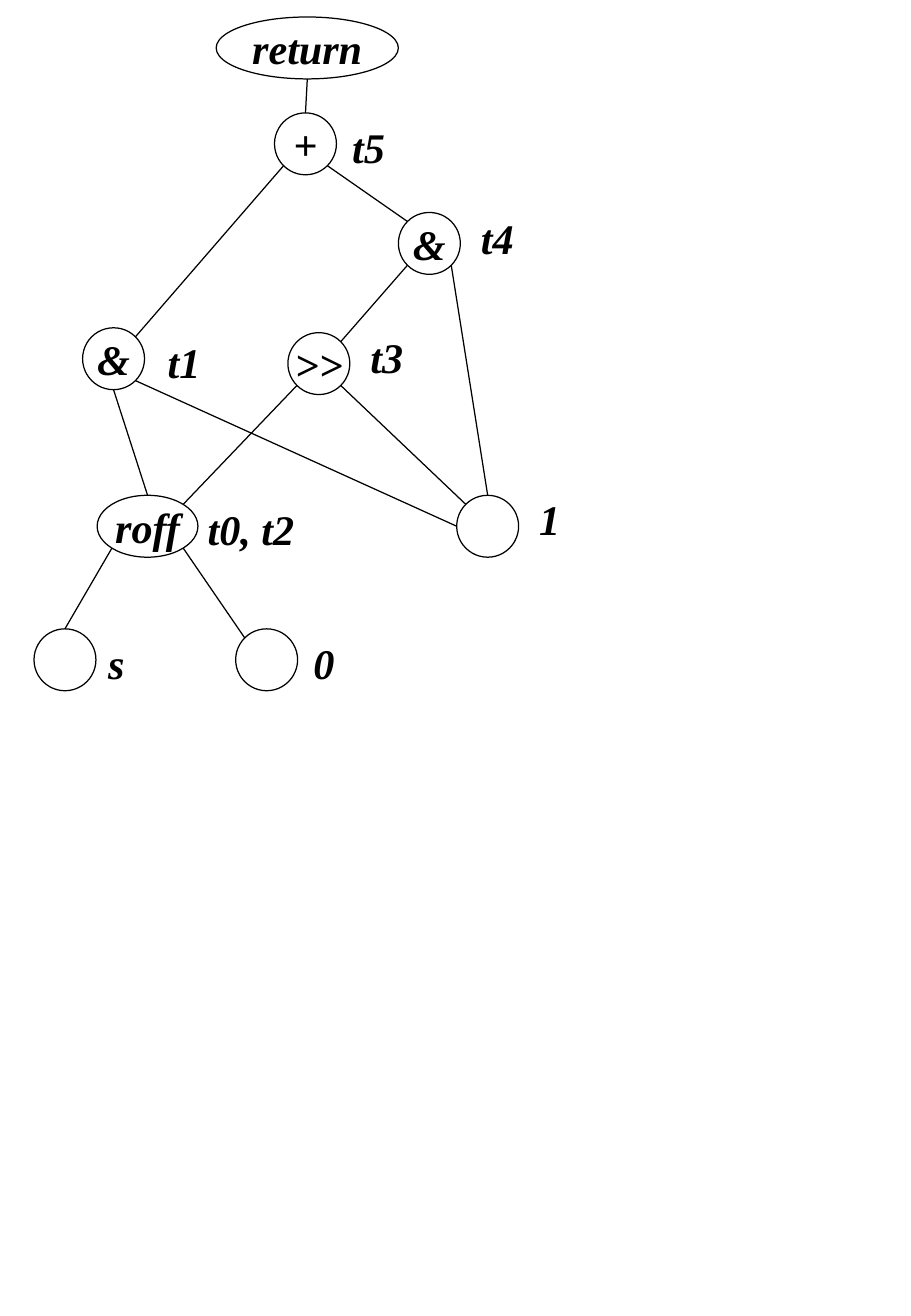
from math import sqrt

from lxml.etree import SubElement
from pptx import Presentation
from pptx.dml.color import RGBColor
from pptx.enum.shapes import MSO_CONNECTOR as Connector, MSO_SHAPE as Shape
from pptx.enum.text import MSO_ANCHOR as Anchor, PP_ALIGN as Align
from pptx.oxml.ns import qn
from pptx.util import Inches, Pt

INK = "000000"
FONT = "Times New Roman"
NODE_SIZE = 0.51
LABEL_WIDTH, LABEL_HEIGHT = 1.06, 0.47
DIAGONAL = 1 / sqrt(2)

SITES = {
    "top": (0, -1),
    "bottom": (0, 1),
    "left": (-1, 0),
    "top left": (-DIAGONAL, -DIAGONAL),
    "top right": (DIAGONAL, -DIAGONAL),
    "bottom left": (-DIAGONAL, DIAGONAL),
    "bottom right": (DIAGONAL, DIAGONAL),
}

NODES = {
    "return": ("return", 1.78, 0.14, 1.5),
    "sum": ("+", 2.26, 0.93, NODE_SIZE),
    "left and": ("&", 0.68, 2.7, NODE_SIZE),
    "right and": ("&", 3.28, 1.75, NODE_SIZE),
    "shift": (">>", 2.37, 2.74, NODE_SIZE),
    "roff": ("roff", 0.8, 4.08, 0.83),
    "one": ("", 3.76, 4.08, NODE_SIZE),
    "s": ("", 0.28, 5.18, NODE_SIZE),
    "zero": ("", 1.94, 5.18, NODE_SIZE),
}

LABELS = [
    ("t5", 2.77, 0.97),
    ("t4", 3.83, 1.72),
    ("t1", 1.25, 2.74),
    ("t3", 2.92, 2.7),
    ("t0, t2", 1.58, 4.12),
    ("1", 4.31, 4.04),
    ("s", 0.76, 5.22),
    ("0", 2.45, 5.22),
]

EDGES = [
    ("return", "bottom", "sum", "top"),
    ("sum", "bottom left", "left and", "top right"),
    ("sum", "bottom right", "right and", "top left"),
    ("right and", "bottom left", "shift", "top right"),
    ("right and", "bottom right", "one", "top"),
    ("left and", "bottom", "roff", "top"),
    ("left and", "bottom right", "one", "left"),
    ("shift", "bottom left", "roff", "top right"),
    ("shift", "bottom right", "one", "top left"),
    ("roff", "bottom left", "s", "top"),
    ("roff", "bottom right", "zero", "top left"),
]


def color(value):
    return RGBColor.from_string(value)


def write(box, text, align=Align.LEFT, wrap=True, margin=0.1, size=25):
    frame = box.text_frame
    frame.word_wrap = wrap
    frame.vertical_anchor = Anchor.MIDDLE
    frame.margin_left = frame.margin_right = Inches(margin)
    para = frame.paragraphs[0]
    para.alignment = align
    span = para.add_run()
    span.text = text
    span.font.name = FONT
    span.font.size = Pt(size)
    span.font.bold = span.font.italic = True
    span.font.color.rgb = color(INK)


def outline(line):
    line.color.rgb = color(INK)
    line.width = Pt(0.75)


def add_node(page, text, left, top, width):
    node = page.shapes.add_shape(
        Shape.OVAL, Inches(left), Inches(top), Inches(width), Inches(NODE_SIZE)
    )
    node.shadow.inherit = False
    node.fill.background()
    outline(node.line)
    if text:
        write(node, text, align=Align.CENTER, wrap=False)


def add_label(page, text, left, top):
    box = page.shapes.add_textbox(
        Inches(left), Inches(top), Inches(LABEL_WIDTH), Inches(LABEL_HEIGHT)
    )
    write(box, text, margin=0.13)


def site_point(name, site):
    _, left, top, width = NODES[name]
    across, down = SITES[site]
    x = left + width / 2 * (1 + across)
    y = top + NODE_SIZE / 2 * (1 + down)
    return Inches(x), Inches(y)


def add_edge(page, parent, parent_site, child, child_site):
    edge = page.shapes.add_connector(
        Connector.STRAIGHT,
        *site_point(parent, parent_site),
        *site_point(child, child_site),
    )
    outline(edge.line)
    SubElement(edge._element.spPr, qn("a:effectLst"))


def main():
    deck = Presentation()
    deck.slide_width = Inches(7.5)
    deck.slide_height = Inches(10.84)
    page = deck.slides.add_slide(deck.slide_layouts[6])
    for edge in EDGES:
        add_edge(page, *edge)
    for node in NODES.values():
        add_node(page, *node)
    for label in LABELS:
        add_label(page, *label)
    deck.save("out.pptx")


if __name__ == "__main__":
    main()
